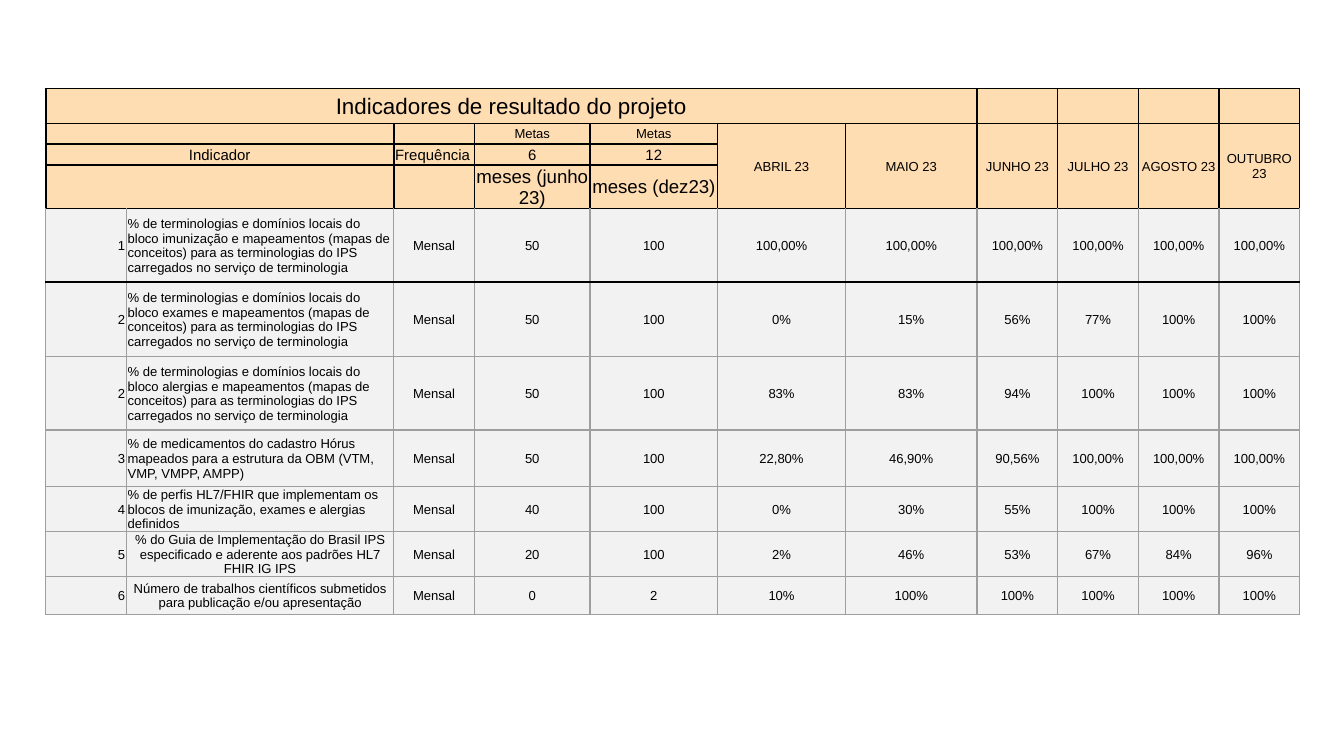
from dataclasses import dataclass
from typing import NamedTuple

from pptx import Presentation
from pptx.dml.color import RGBColor
from pptx.enum.text import MSO_ANCHOR, PP_ALIGN
from pptx.oxml.ns import qn
from pptx.table import Table, _Cell
from pptx.util import Inches, Pt
from lxml.etree import SubElement


@dataclass(frozen=True)
class Theme:
    font: str = "Arial"
    ink: str = "000000"
    header_fill: str = "FFDDB3"
    body_fill: str = "F2F2F2"
    grid: str = "9E9E9E"
    title_size: float = 12
    goal_size: float = 10
    label_size: float = 8
    text_size: float = 7
    header_line: float = 1
    body_line: float = 0.75


class Indicator(NamedTuple):
    number: str
    name: str
    goals: tuple[str, str]
    months: tuple[str, ...]
    name_align: PP_ALIGN = PP_ALIGN.LEFT


THEME = Theme()
COL_WIDTHS = [0.6, 1.99, 0.6, 0.86, 0.95, 0.95, 0.98] + [0.6] * 4
ROW_HEIGHTS = [0.26, 0.15, 0.16, 0.16] + [0.55] * 3 + [0.42] + [0.28] * 3
HEADER_ROWS = 4
MONTH_COL = 5
MONTHS = ["ABRIL 23", "MAIO 23", "JUNHO 23", "JULHO 23", "AGOSTO 23", "OUTUBRO 23"]
FREQUENCY = "Mensal"


def terminology(block: str) -> str:
    return (f"% de terminologias e domínios locais do bloco {block} e mapeamentos "
            "(mapas de conceitos) para as terminologias do IPS carregados no "
            "serviço de terminologia")


INDICATORS = [
    Indicator("1", terminology("imunização"), ("50", "100"), ("100,00%",) * 6),
    Indicator("2", terminology("exames"), ("50", "100"),
              ("0%", "15%", "56%", "77%", "100%", "100%")),
    Indicator("2", terminology("alergias"), ("50", "100"),
              ("83%", "83%", "94%", "100%", "100%", "100%")),
    Indicator("3", "% de medicamentos do cadastro Hórus mapeados para a estrutura "
              "da OBM (VTM, VMP, VMPP, AMPP)", ("50", "100"),
              ("22,80%", "46,90%", "90,56%", "100,00%", "100,00%", "100,00%")),
    Indicator("4", "% de perfis HL7/FHIR que implementam os blocos de imunização, "
              "exames e alergias definidos", ("40", "100"),
              ("0%", "30%", "55%", "100%", "100%", "100%")),
    Indicator("5", "% do Guia de Implementação do Brasil IPS especificado e aderente "
              "aos padrões HL7 FHIR IG IPS", ("20", "100"),
              ("2%", "46%", "53%", "67%", "84%", "96%"), PP_ALIGN.CENTER),
    Indicator("6", "Número de trabalhos científicos submetidos para publicação e/ou "
              "apresentação", ("0", "2"),
              ("10%", "100%", "100%", "100%", "100%", "100%"), PP_ALIGN.CENTER),
]


def set_border(cell: _Cell, side: str, color: str, width: float) -> None:
    ln = SubElement(cell._tc.get_or_add_tcPr(), qn(f"a:ln{side}"), w=str(Pt(width)))
    fill = SubElement(ln, qn("a:solidFill"))
    SubElement(fill, qn("a:srgbClr"), val=color)


def style_cell(cell: _Cell, row: int) -> None:
    """Set margins, borders and fill, and keep empty cells from stretching rows."""
    header = row < HEADER_ROWS
    cell.vertical_anchor = MSO_ANCHOR.MIDDLE
    cell.margin_left = cell.margin_right = cell.margin_top = Inches(0.01)
    cell.margin_bottom = 0
    for side in "LRTB":
        # Black lines frame the header and the first indicator
        dark = (header or (row == HEADER_ROWS and side in "TB")
                or (row == HEADER_ROWS + 1 and side == "T"))
        color = THEME.ink if dark else THEME.grid
        set_border(cell, side, color, THEME.header_line if dark else THEME.body_line)
    cell.fill.solid()
    cell.fill.fore_color.rgb = RGBColor.from_string(
        THEME.header_fill if header else THEME.body_fill)
    p = cell.text_frame.paragraphs[0]
    SubElement(p._p, qn("a:endParaRPr"), sz=str(int(THEME.text_size * 100)))


def write(cell: _Cell, text: str, size: float = THEME.text_size,
          align: PP_ALIGN = PP_ALIGN.CENTER) -> None:
    p = cell.text_frame.paragraphs[0]
    p.add_run().text = text
    p.alignment = align
    p.font.name = THEME.font
    p.font.size = Pt(size)
    p.font.color.rgb = RGBColor.from_string(THEME.ink)


def write_header(table: Table) -> None:
    table.cell(0, 0).merge(table.cell(0, 6))
    write(table.cell(0, 0), "Indicadores de resultado do projeto", THEME.title_size)
    for row in range(1, HEADER_ROWS):
        table.cell(row, 0).merge(table.cell(row, 1))
    write(table.cell(2, 0), "Indicador", THEME.label_size)
    write(table.cell(2, 2), "Frequência", THEME.label_size, PP_ALIGN.LEFT)

    # Goals: heading, number of months, deadline
    for col, count, deadline in [(3, "6", "meses (junho 23)"), (4, "12", "meses (dez23)")]:
        write(table.cell(1, col), "Metas")
        write(table.cell(2, col), count, THEME.label_size)
        write(table.cell(3, col), deadline, THEME.goal_size)

    for col, month in enumerate(MONTHS, MONTH_COL):
        table.cell(1, col).merge(table.cell(HEADER_ROWS - 1, col))
        write(table.cell(1, col), month)


def write_indicator(table: Table, row: int, item: Indicator) -> None:
    write(table.cell(row, 0), item.number, align=PP_ALIGN.RIGHT)
    write(table.cell(row, 1), item.name, align=item.name_align)
    for col, value in enumerate((FREQUENCY, *item.goals, *item.months), 2):
        write(table.cell(row, col), value)


def main() -> None:
    # Widescreen 16:9 slide
    prs = Presentation()
    prs.slide_width = Inches(10)
    prs.slide_height = Inches(10 * 9 / 16)
    s = prs.slides.add_slide(prs.slide_layouts[6])

    # Table grid
    table = s.shapes.add_table(
        len(ROW_HEIGHTS), len(COL_WIDTHS), Inches(0.34), Inches(0.66),
        Inches(sum(COL_WIDTHS)), Inches(sum(ROW_HEIGHTS))).table
    table.first_row = table.horz_banding = False
    for column, width in zip(table.columns, COL_WIDTHS):
        column.width = Inches(width)
    for i, (row, height) in enumerate(zip(table.rows, ROW_HEIGHTS)):
        row.height = Inches(height)
        for cell in row.cells:
            style_cell(cell, i)

    # Contents
    write_header(table)
    for row, item in enumerate(INDICATORS, HEADER_ROWS):
        write_indicator(table, row, item)

    prs.save("out.pptx")


if __name__ == "__main__":
    main()
